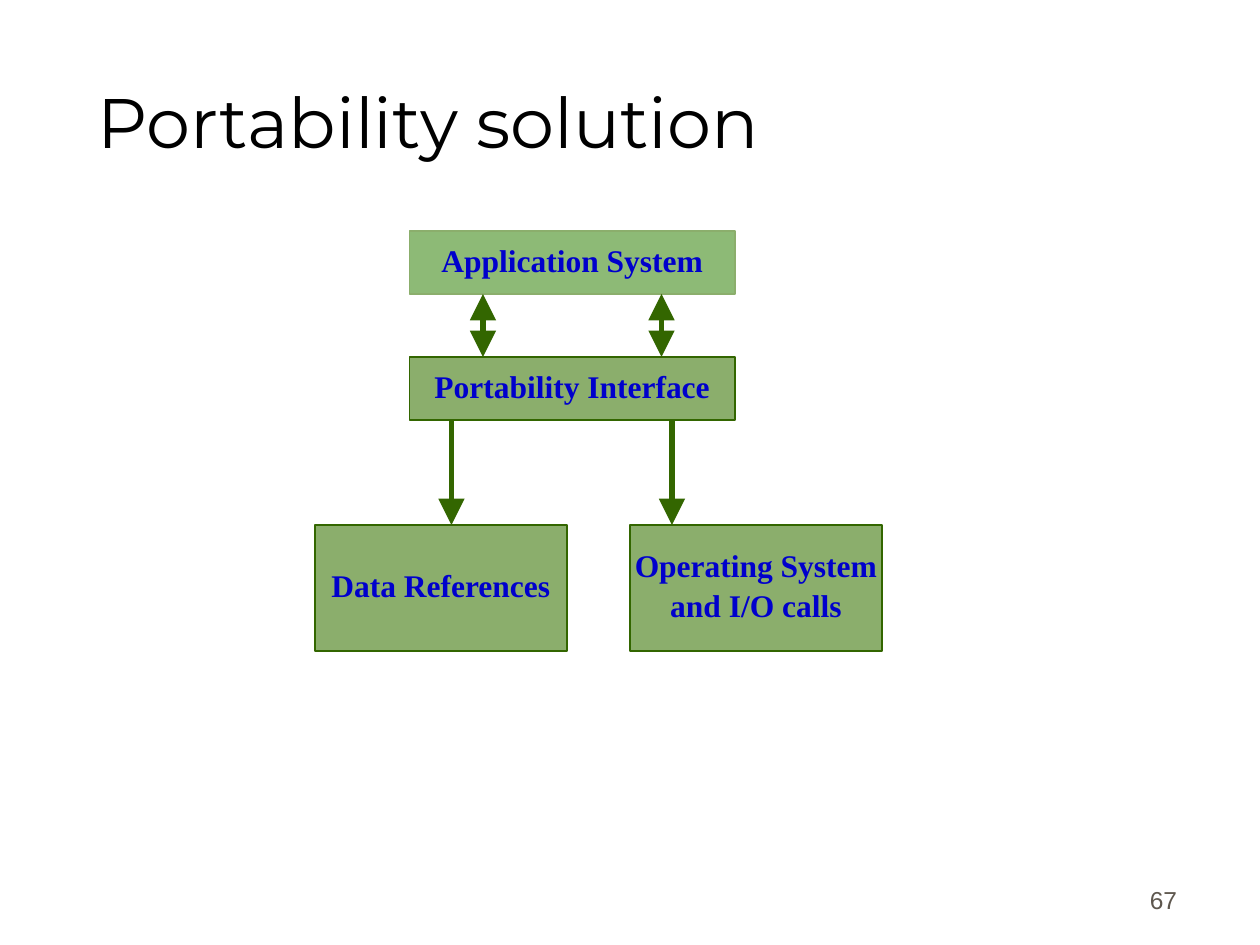
import pptx
import pptx.dml.color
import pptx.enum.shapes
import pptx.enum.text
import pptx.oxml
import pptx.oxml.ns
import pptx.util
from lxml import etree

BLACK = pptx.dml.color.RGBColor(0x00, 0x00, 0x00)
GREY = pptx.dml.color.RGBColor(0x5E, 0x57, 0x4E)
BLUE = pptx.dml.color.RGBColor(0x00, 0x00, 0xCC)
DARK_GREEN = pptx.dml.color.RGBColor(0x33, 0x66, 0x00)
SAGE = pptx.dml.color.RGBColor(0x8B, 0xAE, 0x6C)
LIGHT_GREEN = pptx.dml.color.RGBColor(0x8D, 0xBA, 0x76)

ALIGN = pptx.enum.text.PP_ALIGN
ANCHOR = pptx.enum.text.MSO_ANCHOR
COLUMNS, ROWS = 120, 90


class DiagramPage:
    """A title-only slide whose lengths are grid columns and rows."""

    def __init__(self, deck):
        self.page = deck.slides.add_slide(deck.slide_layouts[5])
        self.column = deck.slide_width / COLUMNS
        self.row = deck.slide_height / ROWS

    def place(self, *cells):
        """Turn alternating columns and rows into slide lengths."""
        units = (self.column, self.row) * 2
        return [pptx.util.Emu(round(cell * unit)) for cell, unit in zip(cells, units)]

    def set_text(self, shape, text, font, size, color, align, anchor,
                 before, bold=False, spacing=None, inset=0.02):
        frame = shape.text_frame
        frame.text = text
        frame.word_wrap = True
        frame.auto_size = pptx.enum.text.MSO_AUTO_SIZE.NONE
        frame.vertical_anchor = anchor
        frame.margin_left = frame.margin_right = pptx.util.Inches(inset)
        frame.margin_top = frame.margin_bottom = pptx.util.Inches(0.05)
        for para in frame.paragraphs:
            para.alignment = align
            para.space_before = pptx.util.Pt(before)
            para.line_spacing = spacing
            for span in para.runs:
                span.font.name = font
                span.font.size = pptx.util.Pt(size)
                span.font.bold = bold
                span.font.color.rgb = color

    def title(self, text, *cells):
        title = self.page.shapes.title
        title.left, title.top, title.width, title.height = self.place(*cells)
        self.set_text(title, text, "Montserrat", 40, BLACK, ALIGN.LEFT, ANCHOR.MIDDLE, 5.4)

    def page_number(self, number, *cells):
        box = self.page.shapes.add_textbox(*self.place(*cells))
        self.set_text(box, str(number), "Arial", 14, GREY, ALIGN.RIGHT, ANCHOR.BOTTOM,
                      8.8, inset=0.1)

    def block(self, text, *cells, fill=SAGE, line=DARK_GREEN):
        box = self.page.shapes.add_shape(
            pptx.enum.shapes.MSO_SHAPE.ROUNDED_RECTANGLE, *self.place(*cells))
        box.adjustments[0] = 0
        box.shadow.inherit = False
        box.fill.solid()
        box.fill.fore_color.rgb = fill
        box.line.color.rgb = line
        box.line.width = pptx.util.Pt(1)
        self.set_text(box, text, "Times New Roman", 18, BLUE, ALIGN.CENTER, ANCHOR.MIDDLE,
                      4.1, bold=True, spacing=0.85)

    def down_arrow(self, column, top, bottom, both_ways=False):
        arrow = self.page.shapes.add_connector(
            pptx.enum.shapes.MSO_CONNECTOR.STRAIGHT,
            *self.place(column, top, column, bottom))
        arrow.line.color.rgb = DARK_GREEN
        arrow.line.width = pptx.util.Pt(3)
        qualify = pptx.oxml.ns.qn
        properties = arrow.element.spPr
        line = properties.find(qualify("a:ln"))
        for end in ("a:headEnd", "a:tailEnd") if both_ways else ("a:tailEnd",):
            etree.SubElement(line, qualify(end), type="triangle", w="lg", len="lg")
        etree.SubElement(properties, qualify("a:effectLst"))


def main():
    deck = pptx.Presentation()
    deck.slide_width = pptx.util.Inches(10)
    deck.slide_height = pptx.util.Inches(7.5)

    diagram = DiagramPage(deck)
    diagram.page_number(67, 88.3, 81.7, 25, 6)
    diagram.title("Portability solution", 9, 4, 102, 15)

    diagram.block("Application System", 39, 22, 31, 6, fill=LIGHT_GREEN, line=SAGE)
    diagram.block("Portability Interface", 39, 34, 31, 6)
    diagram.block("Data References", 30, 50, 24, 12)
    diagram.block("Operating System\nand I/O calls", 60, 50, 24, 12)

    for column in (46, 63):
        diagram.down_arrow(column, 28, 34, both_ways=True)
    for column in (43, 64):
        diagram.down_arrow(column, 40, 50)

    deck.save("out.pptx")


if __name__ == "__main__":
    main()
